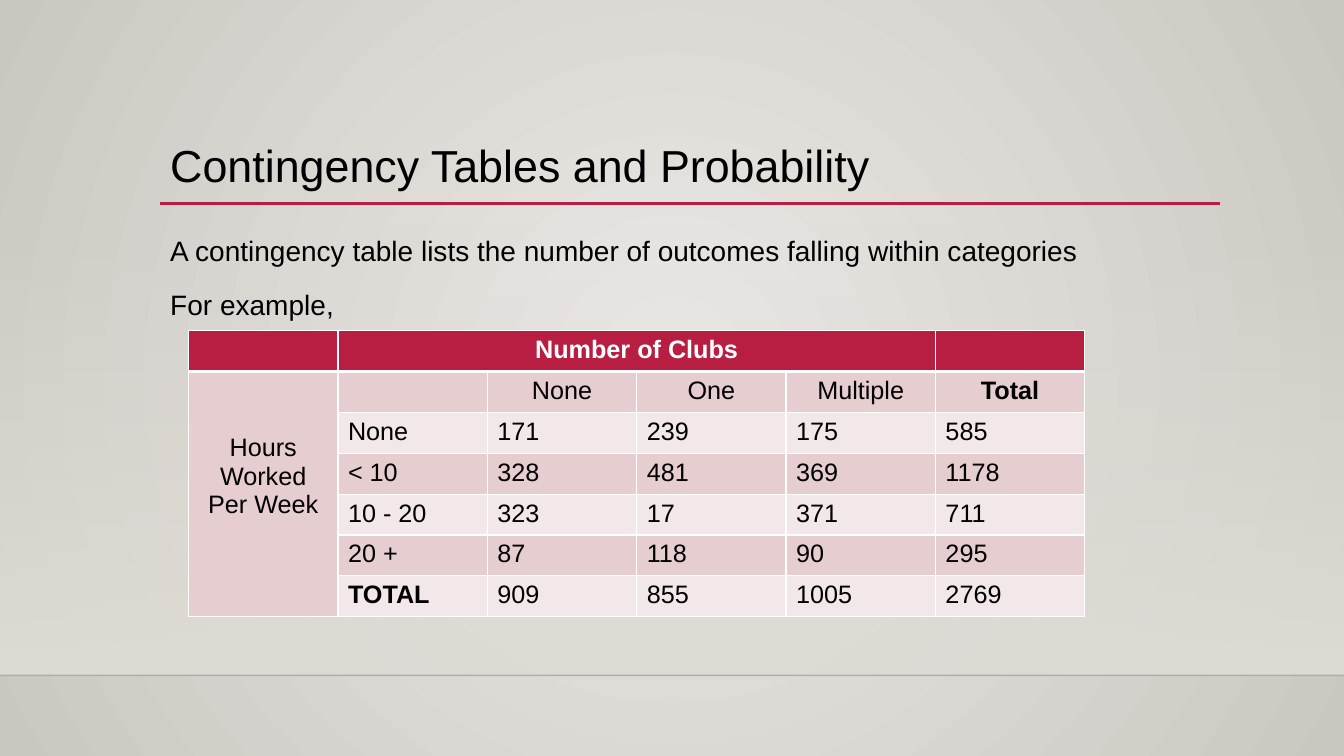
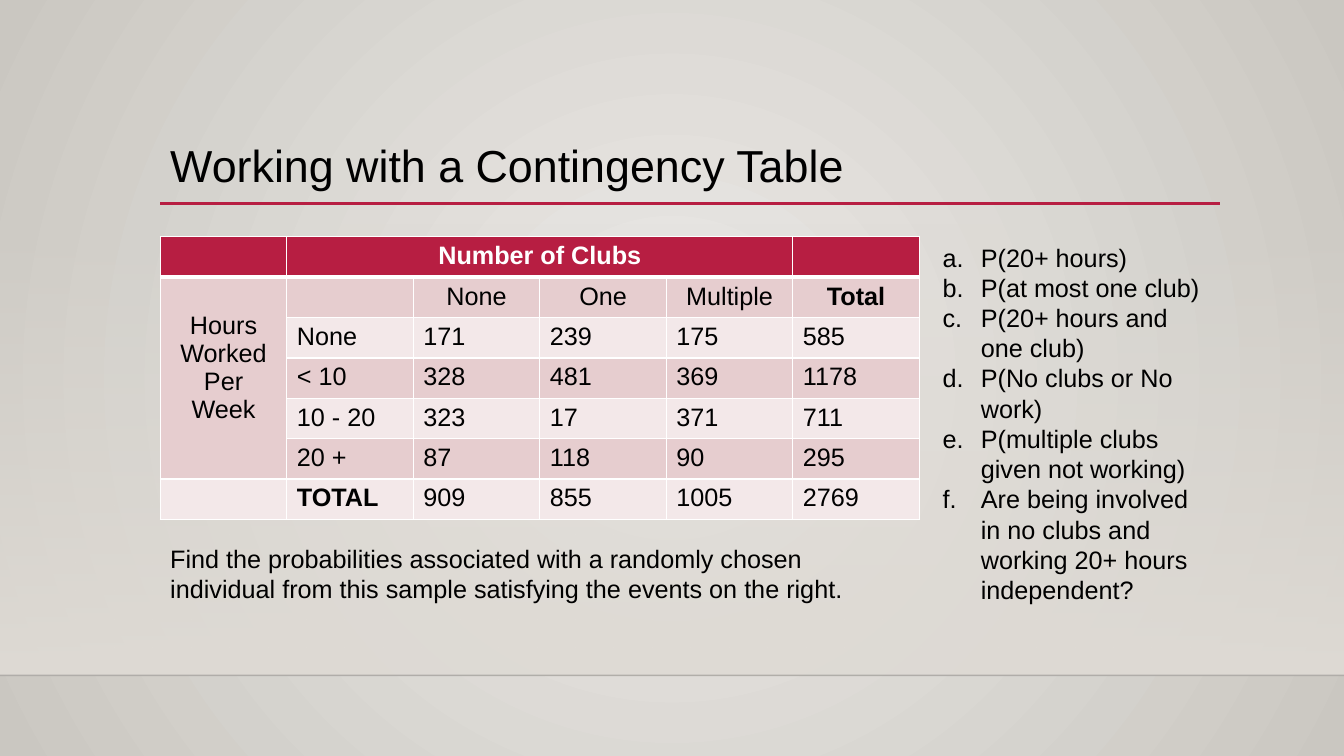
from lxml.etree import SubElement
from pptx import Presentation
from pptx.dml.color import RGBColor
from pptx.enum.shapes import MSO_CONNECTOR, MSO_SHAPE
from pptx.enum.text import MSO_ANCHOR, PP_ALIGN
from pptx.oxml import parse_xml
from pptx.oxml.ns import nsdecls, qn
from pptx.util import Inches, Pt

CRIMSON, ROSE, PALE_ROSE = "B71E42", "E6CDCF", "F3E8E9"
BLACK, WHITE, SAND = "000000", "FFFFFF", "DFDBD5"
RADIAL = ('<a:path path="circle"><a:fillToRect l="50000" t="50000" '
          'r="50000" b="50000"/></a:path>')
DOWNWARD = '<a:lin ang="5400000" scaled="0"/>'

# Survey counts shared by both slides
SURVEY = [
    ["", "Number of Clubs", "", "", "", ""],
    ["Hours Worked Per Week", "", "None", "One", "Multiple", "Total"],
    ["", "None", "171", "239", "175", "585"],
    ["", "< 10", "328", "481", "369", "1178"],
    ["", "10 - 20", "323", "17", "371", "711"],
    ["", "20 +", "87", "118", "90", "295"],
    ["", "TOTAL", "909", "855", "1005", "2769"],
]
EVENTS = [
    "P(20+ hours)",
    "P(at most one club)",
    "P(20+ hours and one club)",
    "P(No clubs or No work)",
    "P(multiple clubs given not working)",
    "Are being involved in no clubs and working 20+ hours independent?",
]


def rgb(value):
    return RGBColor.from_string(value)


def paint_gradient(fill, owner, stops, direction):
    """Give fill the (position %, colour, opacity %) stops."""
    fill.gradient()
    marks = "".join(
        f'<a:gs pos="{pos * 1000}"><a:srgbClr val="{color}">'
        f'<a:alpha val="{opacity * 1000}"/></a:srgbClr></a:gs>'
        for pos, color, opacity in stops)
    old = next(owner.iter(qn("a:gradFill")))
    old.getparent().replace(old, parse_xml(
        f'<a:gradFill {nsdecls("a")} rotWithShape="1"><a:gsLst>{marks}'
        f'</a:gsLst>{direction}</a:gradFill>'))


def write(frame, *lines, size=18, color=BLACK, bold=False, align=PP_ALIGN.LEFT,
          spacing=1.0, before=0, lettered=False):
    for index, line in enumerate(lines):
        paragraph = frame.add_paragraph() if index else frame.paragraphs[0]
        paragraph.alignment = align
        paragraph.line_spacing = spacing
        paragraph.space_before = Pt(before)
        run = paragraph.add_run()
        run.text = line
        run.font.name, run.font.size, run.font.bold = "Arial", Pt(size), bold
        run.font.color.rgb = rgb(color)
        if lettered:
            props = paragraph._p.get_or_add_pPr()
            props.set("marL", str(Inches(0.38)))
            props.set("indent", str(-Inches(0.38)))
            SubElement(props, qn("a:buFont"), typeface="+mj-lt")
            SubElement(props, qn("a:buAutoNum"), type="alphaLcPeriod")


def draw_borders(cell, **widths):
    props = cell._tc.get_or_add_tcPr()
    for position, side in enumerate("LRTB"):
        props.insert(position, parse_xml(
            f'<a:ln{side} {nsdecls("a")} w="{Pt(widths.get(side, 1))}">'
            f'<a:solidFill><a:srgbClr val="{WHITE}"/></a:solidFill></a:ln{side}>'))


class Deck:
    def __init__(self):
        self.prs = Presentation()
        self.prs.slide_width, self.prs.slide_height = Inches(13.33), Inches(7.5)
        master = self.prs.slide_master
        paint_gradient(master.background.fill, master.element,
                       [(0, "ECEAE7", 100), (100, "CAC7C1", 100)], RADIAL)
        self.slide = None

    def new_slide(self, title):
        self.slide = self.prs.slides.add_slide(self.prs.slide_layouts[6])
        # Wall fading into the floor line
        wall = self.slide.shapes.add_shape(
            MSO_SHAPE.RECTANGLE, 0, Inches(2.21), Inches(13.33), Inches(4.49))
        wall.shadow.inherit = False
        wall.line.fill.background()
        paint_gradient(wall.fill, wall._element.spPr,
                       [(0, SAND, 0), (100, SAND, 100)], DOWNWARD)
        self.rule(0, 13.33, 6.7, "000001", 1, opacity=20)
        # Title and its underline
        self.rule(1.59, 12.1, 2.02, CRIMSON, 2.5)
        frame = self.text(1.59, 0.88, 10.5, 1.15, title, size=32, spacing=0.9)
        frame.vertical_anchor = MSO_ANCHOR.BOTTOM
        frame.margin_bottom = Inches(0.12)

    def rule(self, left, right, y, color, width, opacity=100):
        line = self.slide.shapes.add_connector(
            MSO_CONNECTOR.STRAIGHT, Inches(left), Inches(y), Inches(right), Inches(y))
        line.line.color.rgb = rgb(color)
        line.line.width = Pt(width)
        if opacity < 100:
            tint = next(line._element.spPr.iter(qn("a:srgbClr")))
            SubElement(tint, qn("a:alpha"), val=str(opacity * 1000))
        SubElement(line._element.spPr, qn("a:effectLst"))

    def text(self, left, top, width, height, *lines, **style):
        box = self.slide.shapes.add_textbox(
            Inches(left), Inches(top), Inches(width), Inches(height))
        box.text_frame.word_wrap = True
        write(box.text_frame, *lines, **style)
        return box.text_frame

    def survey_table(self, left, top, width, height, hours_rows, hours_inset):
        row_count, column_count = len(SURVEY), len(SURVEY[0])
        table = self.slide.shapes.add_table(
            row_count, column_count, Inches(left), Inches(top),
            Inches(width), Inches(height)).table
        for column in table.columns:
            column.width = Inches(width / column_count)
        for row in table.rows:
            row.height = Inches(height / row_count)
        for r, values in enumerate(SURVEY):
            header = r == 0
            for c, value in enumerate(values):
                cell = table.cell(r, c)
                cell.fill.solid()
                cell.fill.fore_color.rgb = rgb(
                    CRIMSON if header else ROSE if r % 2 else PALE_ROSE)
                draw_borders(cell, T=3 if r == 1 else 1, B=3 if header else 1)
                if value:
                    write(cell.text_frame, value,
                          color=WHITE if header else BLACK,
                          bold=header or value.upper() == "TOTAL",
                          align=PP_ALIGN.CENTER if r < 2 else PP_ALIGN.LEFT)
        table.cell(0, 1).merge(table.cell(0, 4))
        hours = table.cell(1, 0)
        hours.merge(table.cell(hours_rows, 0))
        hours.margin_top = Inches(hours_inset)


def main():
    deck = Deck()

    # Slide 1: what a contingency table is
    deck.new_slide("Contingency Tables and Probability")
    deck.text(1.59, 2.2, 10.5, 3.77,
              "A contingency table lists the number of outcomes falling within categories",
              "For example,", size=20, spacing=1.2, before=10)
    deck.survey_table(1.87, 3.28, 8.89, 2.84, hours_rows=6, hours_inset=0.62)

    # Slide 2: probabilities to find
    deck.new_slide("Working with a Contingency Table")
    deck.survey_table(1.59, 2.35, 7.53, 2.7, hours_rows=5, hours_inset=0.34)
    deck.text(9.25, 2.35, 2.84, 3.74, *EVENTS, lettered=True)
    deck.text(1.59, 5.34, 7.53, 0.71,
              "Find the probabilities associated with a randomly chosen individual "
              "from this sample satisfying the events on the right.")

    deck.prs.save("out.pptx")


if __name__ == "__main__":
    main()
